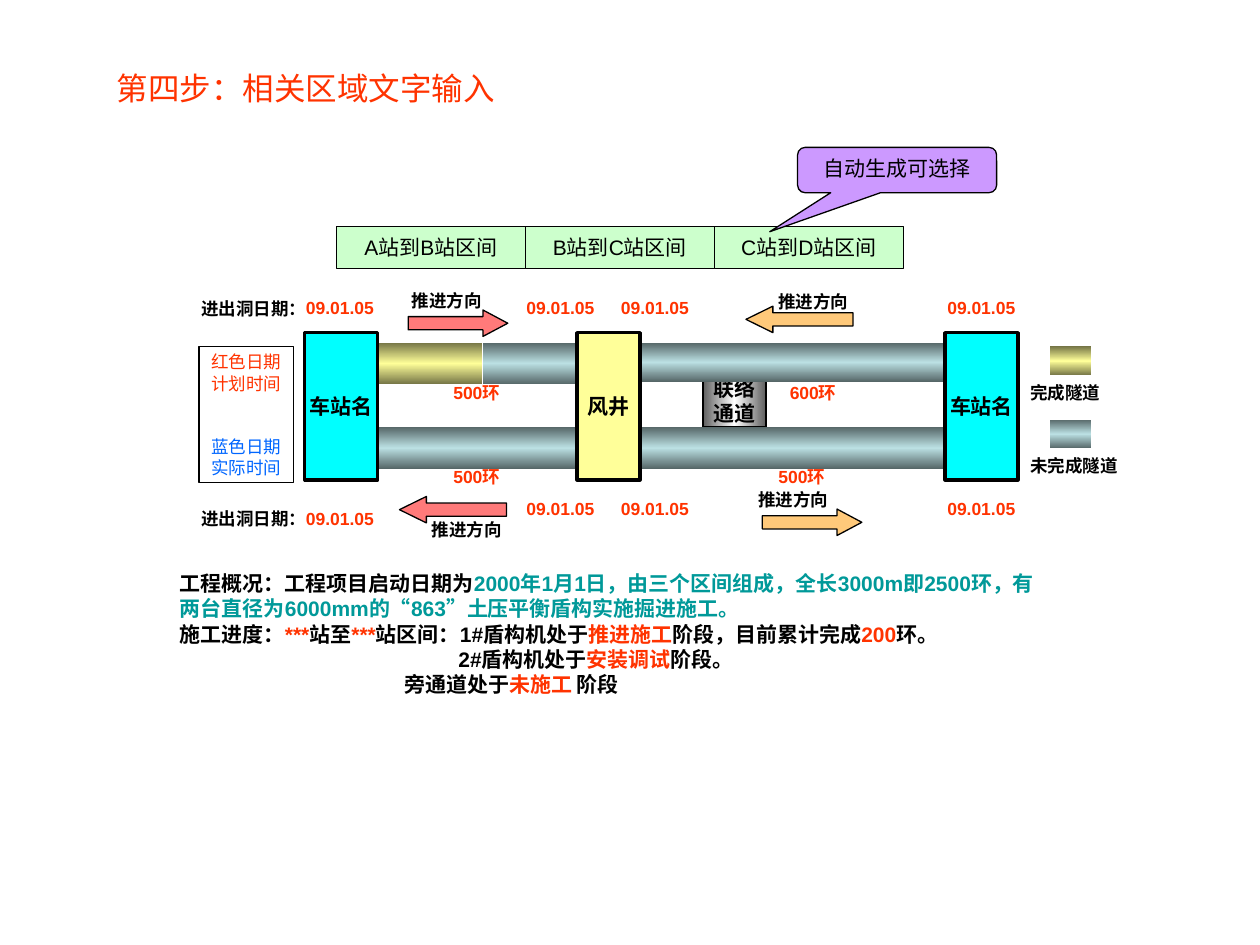
from copy import deepcopy
from dataclasses import dataclass

from pptx import Presentation
from pptx.dml.color import RGBColor
from pptx.enum.shapes import MSO_SHAPE
from pptx.enum.text import MSO_ANCHOR, MSO_AUTO_SIZE, PP_ALIGN
from pptx.oxml.ns import qn
from pptx.util import Inches, Pt
from lxml import etree

RECT = MSO_SHAPE.RECTANGLE
LEFT_ARROW = MSO_SHAPE.LEFT_ARROW
CALLOUT = MSO_SHAPE.ROUNDED_RECTANGULAR_CALLOUT
MIDDLE, TOP = MSO_ANCHOR.MIDDLE, MSO_ANCHOR.TOP
CENTER, LEFT = PP_ALIGN.CENTER, PP_ALIGN.LEFT
FIT_TEXT = MSO_AUTO_SIZE.SHAPE_TO_FIT_TEXT

BLACK, RED, BLUE, TEAL = "000000", "FF3300", "0066FF", "009999"
DONE, TODO = ("757546", "FFFF99"), ("566768", "BBE0E3")
STEEL = ("5F5F5F", "FFFFFF")
DATE = "09.01.05"


@dataclass
class Para:
    runs: list[tuple[str, str]]
    before: float = 0
    indent: float = 0
    spacing: float | None = None


@dataclass
class Box:
    x: float
    y: float
    w: float
    h: float


@dataclass
class Direction:
    arrow: Box
    label: Box
    color: str
    head: float
    rotation: int = 0


def rgb(color: str) -> RGBColor:
    return RGBColor.from_string(color)


def place(box: Box) -> tuple:
    return tuple(Inches(v) for v in (box.x, box.y, box.w, box.h))


def write(tf, paras: list[Para], size: float, bold: bool, align=LEFT) -> None:
    for i, para in enumerate(paras):
        p = tf.paragraphs[0] if i == 0 else tf.add_paragraph()
        p.alignment = align
        p.space_before = Pt(para.before)
        if para.spacing:
            p.line_spacing = para.spacing
        if para.indent:
            p._p.get_or_add_pPr().set("marL", str(Inches(para.indent)))
        p.font.name, p.font.size, p.font.bold = "Arial", Pt(size), bold
        for text, color in para.runs:
            r = p.add_run()
            r.text = text
            r.font.color.rgb = rgb(color)


def add_text(shapes, box: Box, paras: list[Para], size: float = 10, bold: bool = True) -> None:
    tf = shapes.add_textbox(*place(box)).text_frame
    tf.word_wrap = True
    tf.auto_size = FIT_TEXT
    write(tf, paras, size, bold)


def add_shape(shapes, kind, box: Box, fill: str | None = None, line: float = 0):
    sp = shapes.add_shape(kind, *place(box))
    sp.shadow.inherit = False
    if fill:
        sp.fill.solid()
        sp.fill.fore_color.rgb = rgb(fill)
    else:
        sp.fill.background()
    if line:
        sp.line.color.rgb = rgb(BLACK)
        sp.line.width = Pt(line)
    else:
        sp.line.fill.background()
    return sp


def add_label(sp, paras: list[Para], size: float = 12, bold: bool = True) -> None:
    tf = sp.text_frame
    tf.word_wrap = False
    tf.vertical_anchor = MIDDLE
    write(tf, paras, size, bold, CENTER)


def add_tube(shapes, box: Box, colors: tuple[str, str], angle: int = 270, line: float = 0):
    sp = add_shape(shapes, RECT, box, line=line)
    sp.fill.gradient()
    sp.fill.gradient_angle = angle
    edge, middle = sp.fill.gradient_stops
    edge.color.rgb, middle.color.rgb = map(rgb, colors)
    edge.position, middle.position = 0, 0.5
    stops = sp._element.spPr.find(f".//{qn('a:gsLst')}")
    last = deepcopy(stops[0])
    last.set("pos", "100000")
    stops.append(last)
    return sp


def add_direction(shapes, d: Direction) -> None:
    group = shapes.add_group_shape().shapes
    sp = add_shape(group, LEFT_ARROW, d.arrow, d.color, 0.75)
    sp.adjustments[1] = d.head
    sp.rotation = d.rotation
    color = sp._element.spPr.find(f"{qn('a:solidFill')}/{qn('a:srgbClr')}")
    etree.SubElement(color, qn("a:alpha")).set("val", "52000")
    add_text(group, d.label, [Para([("推进方向", BLACK)], before=6.2)])


def main() -> None:
    prs = Presentation()
    prs.slide_width, prs.slide_height = Inches(10), Inches(7.5)
    s = prs.slides.add_slide(prs.slide_layouts[6]).shapes

    add_text(s, Box(0.83, 0.5, 8.08, 0.4), [Para([("第四步：相关区域文字输入", RED)], before=11.2)], 18, False)

    passage = add_tube(s, Box(5.58, 2.97, 0.5, 0.42), STEEL, 180, 0.75)
    add_label(passage, [Para([(text, BLACK)]) for text in ("联络", "通道")])

    for box, colors in (
        (Box(3.83, 2.72, 0.75, 0.33), TODO),
        (Box(3, 3.39, 1.58, 0.33), TODO),
        (Box(5.08, 2.72, 2.42, 0.31), TODO),
        (Box(5.08, 3.39, 2.42, 0.33), TODO),
        (Box(3, 2.72, 0.83, 0.33), DONE),
    ):
        add_tube(s, box, colors)

    for x, w, fill, name in (
        (2.42, 0.58, "00FFFF", "车站名"),
        (4.58, 0.5, "FFFF99", "风井"),
        (7.5, 0.58, "00FFFF", "车站名"),
    ):
        add_label(add_shape(s, RECT, Box(x, 2.64, w, 1.17), fill, 1.75), [Para([(name, BLACK)])])

    for d in (
        Direction(Box(3.24, 2.46, 0.79, 0.21), Box(3.17, 2.25, 1, 0.27), "FF0000", 0.94, 180),
        Direction(Box(3.17, 3.94, 0.85, 0.21), Box(3.33, 4.07, 0.83, 0.27), "FF0000", 1.02),
        Direction(Box(5.92, 2.43, 0.85, 0.21), Box(6.08, 2.26, 0.83, 0.27), "FF9900", 1.02),
        Direction(Box(6.05, 4.04, 0.79, 0.21), Box(5.92, 3.83, 1, 0.27), "FF9900", 0.94, 180),
    ):
        add_direction(s, d)

    for i, (start, end) in enumerate(("AB", "BC", "CD")):
        cell = add_shape(s, RECT, Box(2.67 + 1.5 * i, 1.8, 1.5, 0.33), "CCFFCC", 0.75)
        add_label(cell, [Para([(f"{start}站到{end}站区间", BLACK)])], bold=False)

    callout = add_shape(s, CALLOUT, Box(6.33, 1.17, 1.58, 0.36), "CC99FF", 0.75)
    callout.adjustments[0], callout.adjustments[1] = -0.64, 1.36
    add_label(callout, [Para([("自动生成可选择", BLACK)])], bold=False)
    callout.text_frame.vertical_anchor = TOP

    dates = [(x, y, 0.75, DATE) for x in (4.08, 4.83, 7.42) for y in (2.33, 3.92)]
    dates += [(2.33, 2.33, 0.83, DATE), (2.33, 4, 0.75, DATE)]
    rings = [(3.5, 3, 1, "500环"), (6.17, 3, 1, "600环"), (3.5, 3.67, 1, "500环"), (6.08, 3.67, 1, "500环")]
    for x, y, w, text in dates + rings:
        add_text(s, Box(x, y, w, 0.25), [Para([(text, RED)], before=6.2, spacing=0.9)])

    for y in (2.32, 3.98):
        add_text(s, Box(1.5, y, 1, 0.27), [Para([("进出洞日期：", BLACK)])])

    date_key = add_shape(s, RECT, Box(1.58, 2.75, 0.75, 1.08), line=0.75)
    add_label(date_key, [
        Para([("红色日期", RED)]),
        Para([("计划时间", RED)]),
        Para([("蓝色日期", BLUE)], before=24),
        Para([("实际时间", BLUE)]),
    ], 10, False)

    for y, colors, text in ((2.75, DONE, "完成隧道"), (3.33, TODO, "未完成隧道")):
        add_tube(s, Box(8.33, y, 0.33, 0.23), colors)
        add_text(s, Box(8.08, y + 0.23, 1, 0.27), [Para([(text, BLACK)])])

    add_text(s, Box(1.33, 4.48, 7, 1.1), [
        Para([("工程概况：工程项目启动日期为", BLACK),
              ("2000年1月1日，由三个区间组成，全长3000m即2500环，"
               "有两台直径为6000mm的“863”土压平衡盾构实施掘进施工。", TEAL)], before=7.5),
        Para([("施工进度：", BLACK), ("***", RED), ("站至", BLACK), ("***", RED),
              ("站区间：1#盾构机处于", BLACK), ("推进施工", RED),
              ("阶段，目前累计完成", BLACK), ("200", RED), ("环。", BLACK)]),
        Para([("2#盾构机处于", BLACK), ("安装调试", RED), ("阶段。", BLACK)], indent=2.21),
        Para([("旁通道处于", BLACK), ("未施工 ", RED), ("阶段", BLACK)], indent=1.78),
    ], 12)

    prs.save("out.pptx")


if __name__ == "__main__":
    main()
